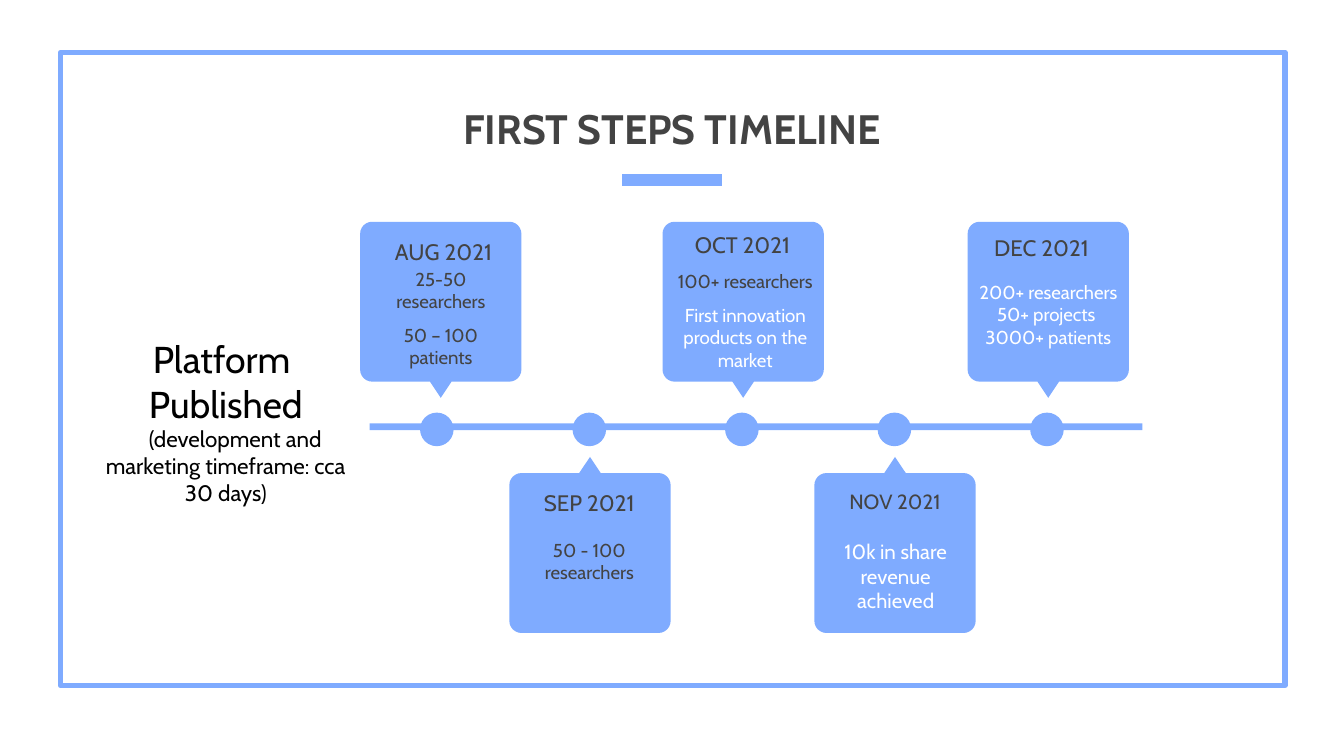
from dataclasses import dataclass
from math import cos, pi, sin

from lxml import etree
from pptx import Presentation
from pptx.dml.color import RGBColor
from pptx.enum.shapes import MSO_CONNECTOR, MSO_SHAPE
from pptx.enum.text import MSO_ANCHOR, MSO_AUTO_SIZE, PP_ALIGN
from pptx.oxml.ns import qn
from pptx.util import Inches, Pt

RECT, OVAL = MSO_SHAPE.RECTANGLE, MSO_SHAPE.OVAL
STRAIGHT = MSO_CONNECTOR.STRAIGHT
TOP, BOTTOM = MSO_ANCHOR.TOP, MSO_ANCHOR.BOTTOM
FIXED = MSO_AUTO_SIZE.NONE
CENTER = PP_ALIGN.CENTER
WIDTH = 10
HEIGHT = WIDTH * 9 / 16


@dataclass(frozen=True)
class Theme:
    font: str = "Cabin"
    blue: str = "7FABFF"
    dark: str = "434343"
    white: str = "FFFFFF"
    black: str = "000000"
    title: int = 22
    lead: int = 20
    head: int = 12
    mid: int = 11
    small: int = 10


THEME = Theme()


@dataclass(frozen=True)
class Line:
    text: str
    size: int = THEME.small
    color: str = THEME.dark
    gap: int = 0
    indent: float = 0


@dataclass(frozen=True)
class Label:
    left: float
    top: float
    width: float
    height: float
    lines: tuple[Line, ...]


@dataclass(frozen=True)
class Step:
    tip: float
    up: bool
    head: Label
    body: Label


def head(left: float, top: float, width: float, text: str,
         size: int = THEME.head, height: float = 0.37) -> Label:
    return Label(left, top, width, height, (Line(text, size),))


STEPS = (
    Step(3.28, False, head(2.78, 1.67, 1.04, "AUG 2021", height=0.26),
         Label(2.67, 1.89, 1.22, 1, (
             Line("25-50 researchers"), Line("50 – 100 patients", gap=6)))),
    Step(4.39, True, head(3.92, 3.54, 0.93, "SEP 2021"),
         Label(3.78, 3.91, 1.21, 0.53, (Line("50 - 100 researchers"),))),
    Step(5.53, False, head(4.99, 1.62, 1.07, "OCT 2021"),
         Label(4.9, 1.91, 1.29, 0.74, (
             Line("100+ researchers"),
             Line("First innovation products on the market", color=THEME.white, gap=6)))),
    Step(6.66, True, head(6.09, 3.54, 1.14, "NOV 2021", THEME.mid),
         Label(6.05, 3.91, 1.23, 0.74, (
             Line("10k in share revenue achieved", THEME.mid, THEME.white),))),
    Step(7.8, False, head(7.23, 1.64, 1.04, "DEC 2021"),
         Label(7.1, 1.99, 1.4, 0.74, tuple(
             Line(text, color=THEME.white)
             for text in ("200+ researchers", "50+ projects ", "3000+ patients")))),
)
LEAD = Label(0.59, 2.45, 2.18, 1.38, (
    Line("Platform ", THEME.lead, THEME.black),
    Line("Published", THEME.lead, THEME.black),
    Line("(development and marketing timeframe: cca 30 days)",
         THEME.head, THEME.black, indent=0.14),
))
TITLE = Label(0, 0.24, WIDTH, 1, (Line("FIRST STEPS TIMELINE", THEME.title),))


def paint(shape) -> None:
    shape.shadow.inherit = False
    shape.fill.solid()
    shape.fill.fore_color.rgb = RGBColor.from_string(THEME.blue)
    shape.line.fill.background()


def write(box, label: Label, inset: float = 0.1, anchor=TOP, bold: bool = False) -> None:
    box.left, box.top = Inches(label.left), Inches(label.top)
    box.width, box.height = Inches(label.width), Inches(label.height)
    frame = box.text_frame
    frame.word_wrap = True
    frame.auto_size = FIXED
    frame.vertical_anchor = anchor
    frame.margin_left = frame.margin_right = Inches(0.1)
    frame.margin_top = frame.margin_bottom = Inches(inset)
    frame.text = "\n".join(line.text for line in label.lines)
    for para, line in zip(frame.paragraphs, label.lines):
        para.alignment = CENTER
        para.space_before = Pt(line.gap)
        if line.indent:
            para._p.get_or_add_pPr().set("indent", str(Inches(line.indent)))
        font = para.runs[0].font
        font.name, font.size, font.bold = THEME.font, Pt(line.size), bold
        font.color.rgb = RGBColor.from_string(line.color)


def add_label(slide, label: Label, inset: float = 0.1) -> None:
    write(slide.shapes.add_textbox(0, 0, 0, 0), label, inset)


def add_card(slide, step: Step) -> None:
    half, tall, curve, beak = 0.6, 1.19, 0.09, 0.08
    base, way = (3.52, 1) if step.up else (2.84, -1)
    points = [(beak, 0), (0, -0.12), (-beak, 0)]
    corners = ((-1, curve, 270), (-1, tall - curve, 180),
               (1, tall - curve, 90), (1, curve, 0))
    for side, rise, start in corners:
        for part in range(7):
            turn = (start - 15 * part) * pi / 180
            points.append((side * (half - curve) + curve * cos(turn),
                           rise + curve * sin(turn)))
    spots = [(Inches(step.tip + x), Inches(base + way * y)) for x, y in points]
    path = slide.shapes.build_freeform(*spots[0])
    path.add_line_segments(spots[1:], close=True)
    paint(path.convert_to_shape())


def add_block(slide, kind, left: float, top: float, width: float, height: float):
    shape = slide.shapes.add_shape(
        kind, Inches(left), Inches(top), Inches(width), Inches(height))
    paint(shape)
    return shape


def add_rule(slide) -> None:
    rule = slide.shapes.add_connector(
        STRAIGHT, Inches(4.63), Inches(1.34), Inches(5.37), Inches(1.34))
    rule.line.color.rgb = RGBColor.from_string(THEME.blue)
    rule.line.width = Pt(6)
    etree.SubElement(rule._element.spPr, qn("a:effectLst"))


def main() -> None:
    deck = Presentation()
    deck.slide_width, deck.slide_height = Inches(WIDTH), Inches(HEIGHT)
    slide = deck.slides.add_slide(deck.slide_layouts[5])

    border = add_block(slide, RECT, 0.45, 0.39, 9.11, 4.71)
    border.fill.background()
    border.line.color.rgb = RGBColor.from_string(THEME.blue)
    border.line.width = Pt(3)
    add_rule(slide)
    write(slide.shapes.title, TITLE, anchor=BOTTOM, bold=True)

    add_block(slide, RECT, 2.75, 3.15, 5.75, 0.05)
    first, last, size = 3.25, 7.79, 0.25
    gap = (last - first) / (len(STEPS) - 1)
    for place, step in enumerate(STEPS):
        add_block(slide, OVAL, first + gap * place - size / 2, 3.07, size, size)
        add_card(slide, step)
        add_label(slide, step.body)
        add_label(slide, step.head)
    add_label(slide, LEAD, 0.05)
    deck.save("out.pptx")


if __name__ == "__main__":
    main()
